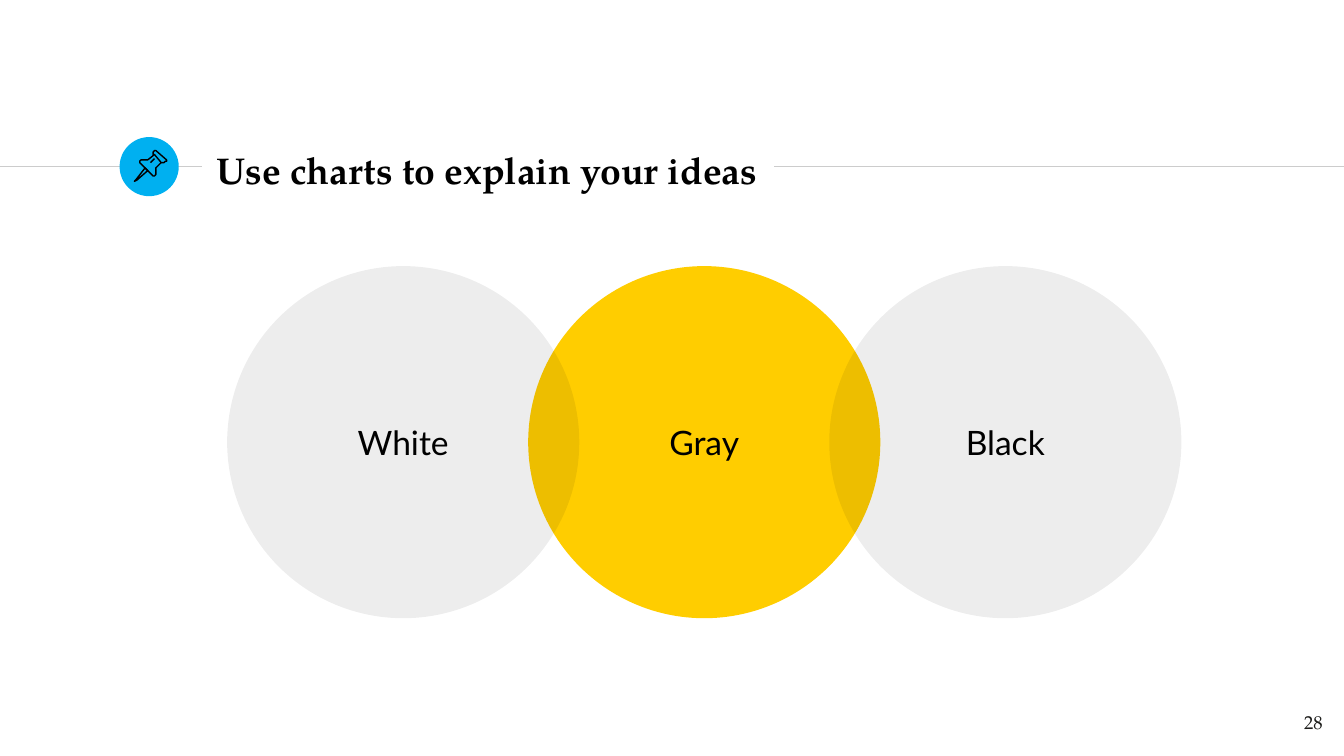
from lxml.etree import SubElement
from pptx import Presentation
from pptx.dml.color import RGBColor
from pptx.enum.shapes import MSO_CONNECTOR as CONN, MSO_SHAPE as SHAPE
from pptx.enum.text import MSO_ANCHOR as ANCHOR, MSO_AUTO_SIZE as AUTO, PP_ALIGN as ALIGN
from pptx.oxml.ns import qn
from pptx.util import Inches, Pt

WIDTH = 10
HEIGHT = WIDTH * 9 / 16
SERIF, SANS = "TeX Gyre Pagella", "Lato"
TITLE = "Use charts to explain your ideas"
PAGE = "28"
RULE_Y = 1.24
RULES = [(0, 1.5), (5.76, WIDTH)]
BADGE = (0.89, 1.02, 0.44, 0.44)
CIRCLES = [(1, "Gray", "FFCD00", None), (0, "White", "000000", 7), (2, "Black", "000000", 7)]
LEFT, TOP, SIZE, STEP = 1.69, 1.98, 2.62, 2.24
UNIT = 0.01
PIN = [
    ([(108, 125), (101, 134), (100, 135), (102, 134), (110, 127)], True),
    ([(115, 115), (120, 121), (122, 121), (123, 120), (124, 120), (124, 119),
      (116, 112), (115, 112), (114, 113), (114, 115)], True),
    ([(115, 115), (110, 119), (108, 119), (105, 119), (104, 120), (104, 121),
      (114, 131), (115, 131), (116, 130), (116, 125), (120, 121)], False),
    ([(112, 121), (115, 118)], False),
]


def rgb(value):
    """Turn a hex string into a colour."""
    return RGBColor.from_string(value)


def inches(*values):
    """Turn several numbers into lengths."""
    return [Inches(v) for v in values]


def write(sp, text, size, font, color="000000", bold=False, align=ALIGN.LEFT, anchor=ANCHOR.MIDDLE):
    """Put one formatted paragraph into a shape."""
    tf = sp.text_frame
    frame = dict.fromkeys(("margin_left", "margin_top", "margin_right", "margin_bottom"), Inches(0.1))
    frame.update(word_wrap=True, auto_size=AUTO.NONE, vertical_anchor=anchor)
    for name, value in frame.items():
        setattr(tf, name, value)
    p = tf.paragraphs[0]
    p.alignment = align
    r = p.add_run()
    r.text = text
    for name, value in dict(size=Pt(size), name=font, bold=bold).items():
        setattr(r.font, name, value)
    r.font.color.rgb = rgb(color)


def add_rule(shapes, start, end):
    """Draw one grey horizontal rule."""
    line = shapes.add_connector(CONN.STRAIGHT, *inches(start, RULE_Y, end, RULE_Y))
    line.line.color.rgb = rgb("CCCCCC")
    line.line.width = Pt(0.75)
    SubElement(line._element.spPr, qn("a:effectLst"))


def add_circle(shapes, box, color, opacity=None):
    """Draw a borderless circle, with its opacity in percent."""
    sp = shapes.add_shape(SHAPE.OVAL, *inches(*box))
    sp.shadow.inherit = False
    sp.fill.solid()
    sp.fill.fore_color.rgb = rgb(color)
    sp.line.fill.background()
    if opacity is not None:
        clr = sp._element.spPr.find(".//" + qn("a:srgbClr"))
        SubElement(clr, qn("a:alpha"), val=str(opacity * 1000))
    return sp


def add_pin(shapes):
    """Draw the outlined pushpin as a group."""
    group = shapes.add_group_shape()
    for points, closed in PIN:
        builder = group.shapes.build_freeform(*points[0], scale=Inches(UNIT))
        builder.add_line_segments(points[1:], close=closed)
        sp = builder.convert_to_shape()
        sp.shadow.inherit = False
        sp.fill.background()
        sp.line.color.rgb = rgb("000000")
        sp.line.width = Pt(0.75)


def main():
    """Build and save the slide."""
    prs = Presentation()
    prs.slide_width, prs.slide_height = inches(WIDTH, HEIGHT)
    s = prs.slides.add_slide(prs.slide_layouts[5])
    shapes = s.shapes
    title = shapes.title
    title.left, title.top, title.width, title.height = inches(1.51, 1.02, 4.24, 0.48)
    write(title, TITLE, 20, SERIF, bold=True)

    for start, end in RULES:
        add_rule(shapes, start, end)
    add_circle(shapes, BADGE, "00B0F0")
    for column, label, color, opacity in CIRCLES:
        sp = add_circle(shapes, (LEFT + column * STEP, TOP, SIZE, SIZE), color, opacity)
        write(sp, label, 18, SANS, align=ALIGN.CENTER)
    add_pin(shapes)

    number = shapes.add_textbox(*inches(9.34, 5.19, 0.6, 0.43))
    write(number, PAGE, 10, SERIF, "1D1D1B", align=ALIGN.RIGHT, anchor=ANCHOR.TOP)
    prs.save("out.pptx")


if __name__ == "__main__":
    main()
